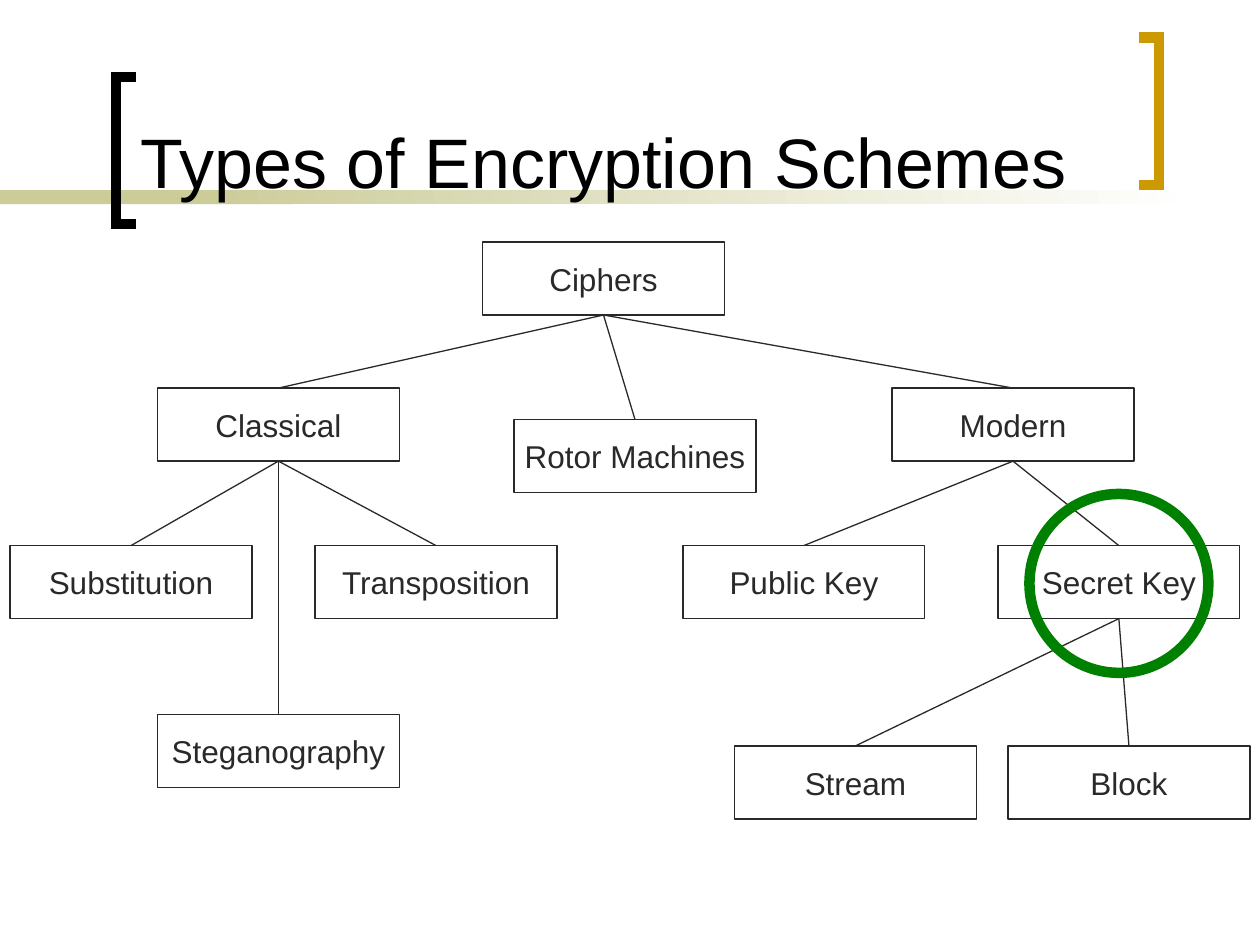
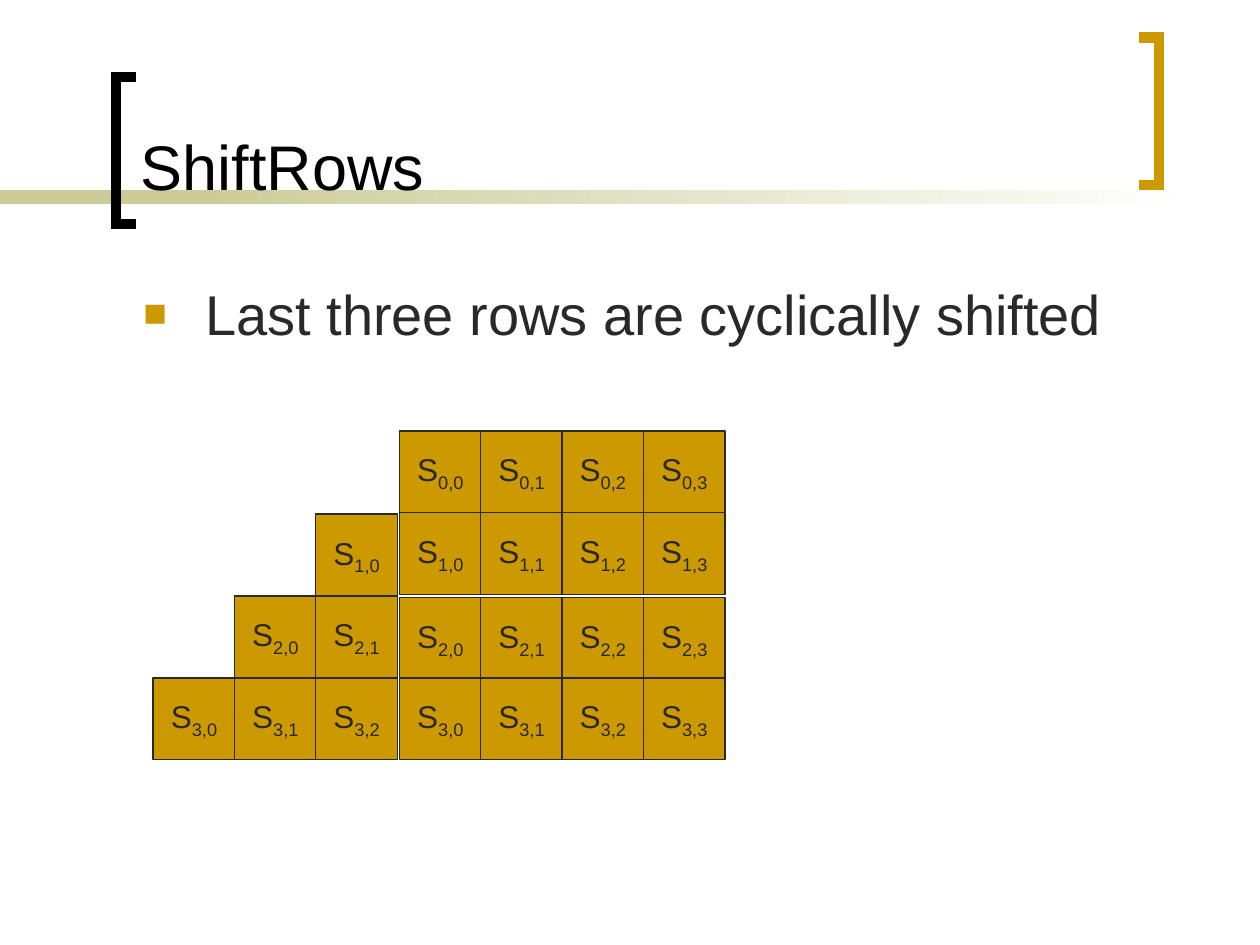
import pptx
import pptx.dml.color
import pptx.enum.shapes
import pptx.enum.text
import pptx.oxml.ns
import pptx.util
from lxml import etree

Inches = pptx.util.Inches
Pt = pptx.util.Pt
SHAPES = pptx.enum.shapes.MSO_SHAPE
ALIGN = pptx.enum.text.PP_ALIGN
ANCHOR = pptx.enum.text.MSO_ANCHOR

COLORS = {
    "paper": "FFFFFF",
    "title": "000000",
    "ink": "292929",
    "gold": "CC9900",
    "band": "CCCC99",
    "ring": "008000",
}
FONT = "Arial"

# Cipher tree: name -> (left, top, parent)
NODE_WIDTH, NODE_HEIGHT = 1.92, 0.58
CIPHER_TREE = {
    "Ciphers": (3.83, 1.92, None),
    "Classical": (1.25, 3.08, "Ciphers"),
    "Rotor Machines": (4.08, 3.33, "Ciphers"),
    "Modern": (7.08, 3.08, "Ciphers"),
    "Substitution": (0.08, 4.33, "Classical"),
    "Transposition": (2.5, 4.33, "Classical"),
    "Steganography": (1.25, 5.67, "Classical"),
    "Public Key": (5.42, 4.33, "Modern"),
    "Secret Key": (7.92, 4.33, "Modern"),
    "Stream": (5.83, 5.92, "Secret Key"),
    "Block": (8, 5.92, "Secret Key"),
}

# State array of the cipher
CELL, CELL_PITCH = 0.65, 0.645
STATE_LEFT, STATE_TOPS = 3.17, (3.42, 4.07, 4.74, 5.38)
SHIFTED_RIGHT, SHIFTED_TOP = 3.15, 3.43


def rgb(name):
    return pptx.dml.color.RGBColor.from_string(COLORS[name])


def add_child(parent, tag, **attributes):
    return etree.SubElement(parent, pptx.oxml.ns.qn(tag), attributes)


def write_text(box, text, subscript="", size=18, color="ink", align=ALIGN.LEFT,
               anchor=ANCHOR.TOP, wrap=True):
    """Put one paragraph in a box, with an optional subscript after it."""
    frame = box.text_frame
    frame.word_wrap = wrap
    frame.vertical_anchor = anchor
    para = frame.paragraphs[0]
    para.alignment = align
    for part in filter(None, (text, subscript)):
        span = para.add_run()
        span.text = part
        span.font.name = FONT
        span.font.size = Pt(size)
        span.font.color.rgb = rgb(color)
    if subscript:
        span._r.get_or_add_rPr().set("baseline", "-25000")
    return para


class Deck:
    """Holds the style of the presentation and the current page."""

    def __init__(self):
        self.deck = pptx.Presentation()
        self.deck.slide_width = Inches(10)
        self.deck.slide_height = Inches(7.5)
        self.page = None

    def new_page(self, title, size):
        self.page = self.deck.slides.add_slide(self.deck.slide_layouts[6])
        # Band that fades out to the right
        self.shape(0, 1.51, 2.33, 0.11, fill="band")
        fade = self.shape(1.58, 1.51, 7.92, 0.11).fill
        fade.gradient()
        fade.gradient_angle = 0
        for stop, color in zip(fade.gradient_stops, ("band", "paper")):
            stop.color.rgb = rgb(color)
        # Brackets around the title
        self.bracket(1.08, 0.92, 0.61, "title")
        self.bracket(9.04, 9.2, 0.3, "gold")
        # Title
        box = self.text_box(1.02, 0.11, 7.83, 1.55)
        write_text(box, title, size=size, color="title", anchor=ANCHOR.BOTTOM)

    def text_box(self, left, top, width, height):
        return self.page.shapes.add_textbox(
            Inches(left), Inches(top), Inches(width), Inches(height))

    def shape(self, left, top, width, height, kind=SHAPES.RECTANGLE,
              fill=None, line=None, weight=0.75):
        shape = self.page.shapes.add_shape(
            kind, Inches(left), Inches(top), Inches(width), Inches(height))
        self.style(shape, fill, line, weight)
        return shape

    def style(self, shape, fill, line, weight):
        shape.shadow.inherit = False
        if fill:
            shape.fill.solid()
            shape.fill.fore_color.rgb = rgb(fill)
        else:
            shape.fill.background()
        if line:
            shape.line.color.rgb = rgb(line)
            shape.line.width = Pt(weight)
        else:
            shape.line.fill.background()

    def label_box(self, left, top, width, height, text, subscript="", fill="paper"):
        box = self.shape(left, top, width, height, fill=fill, line="ink")
        write_text(box, text, subscript, align=ALIGN.CENTER,
                   anchor=ANCHOR.MIDDLE, wrap=False)
        return box

    def bracket(self, tip, spine, top, color):
        bottom = top + 1.17
        outline = self.page.shapes.build_freeform(Inches(tip), Inches(top))
        outline.add_line_segments(
            [(Inches(x), Inches(y))
             for x, y in ((spine, top), (spine, bottom), (tip, bottom))],
            close=False)
        shape = outline.convert_to_shape()
        self.style(shape, None, color, 6)
        add_child(shape.line._get_or_add_ln(), "a:miter", lim="800000")

    def branch(self, parent, child):
        line = self.page.shapes.add_connector(
            pptx.enum.shapes.MSO_CONNECTOR.STRAIGHT, 0, 0, 0, 0)
        line.begin_connect(parent, 2)
        line.end_connect(child, 0)
        line.line.color.rgb = rgb("ink")
        line.line.width = Pt(0.75)
        add_child(line._element.spPr, "a:effectLst")

    def bullet(self, left, top, width, height, text):
        para = write_text(self.text_box(left, top, width, height), text, size=32)
        para.space_before = Pt(8)
        props = para._p.get_or_add_pPr()
        props.set("marL", str(Inches(0.49)))
        props.set("indent", str(-Inches(0.49)))
        color = add_child(props, "a:buClr")
        add_child(color, "a:srgbClr", val=COLORS["gold"])
        add_child(props, "a:buSzPct", val="70000")
        add_child(props, "a:buFont", typeface=FONT)
        add_child(props, "a:buChar", char="■")

    def state_cell(self, left, top, row, column):
        self.label_box(left, top, CELL, CELL, "S", f"{row},{column}", fill="gold")


def encryption_schemes(deck):
    deck.new_page("Types of Encryption Schemes", 40)
    nodes = {name: deck.label_box(left, top, NODE_WIDTH, NODE_HEIGHT, name)
             for name, (left, top, _) in CIPHER_TREE.items()}
    for name, (_, _, parent) in CIPHER_TREE.items():
        if parent:
            deck.branch(nodes[parent], nodes[name])
    # Ring around the secret key
    deck.shape(8.17, 3.92, 1.42, 1.42, SHAPES.OVAL, line="ring", weight=6)


def shift_rows(deck):
    deck.new_page("ShiftRows", 36)
    deck.bullet(1.04, 2.17, 8.38, 4.5, "Last three rows are cyclically shifted")
    # State before the shift
    for row, top in enumerate(STATE_TOPS):
        for column in range(4):
            deck.state_cell(STATE_LEFT + column * CELL_PITCH, top, row, column)
    # Cells pushed out to the left, on a plain panel
    deck.shape(0.91, 3.83, 2.25, 2.42, fill="paper")
    for row in range(1, 4):
        for column in range(row):
            deck.state_cell(SHIFTED_RIGHT - (row - column) * CELL_PITCH,
                            SHIFTED_TOP + row * CELL, row, column)


def main():
    deck = Deck()
    encryption_schemes(deck)
    shift_rows(deck)
    deck.deck.save("out.pptx")


if __name__ == "__main__":
    main()
